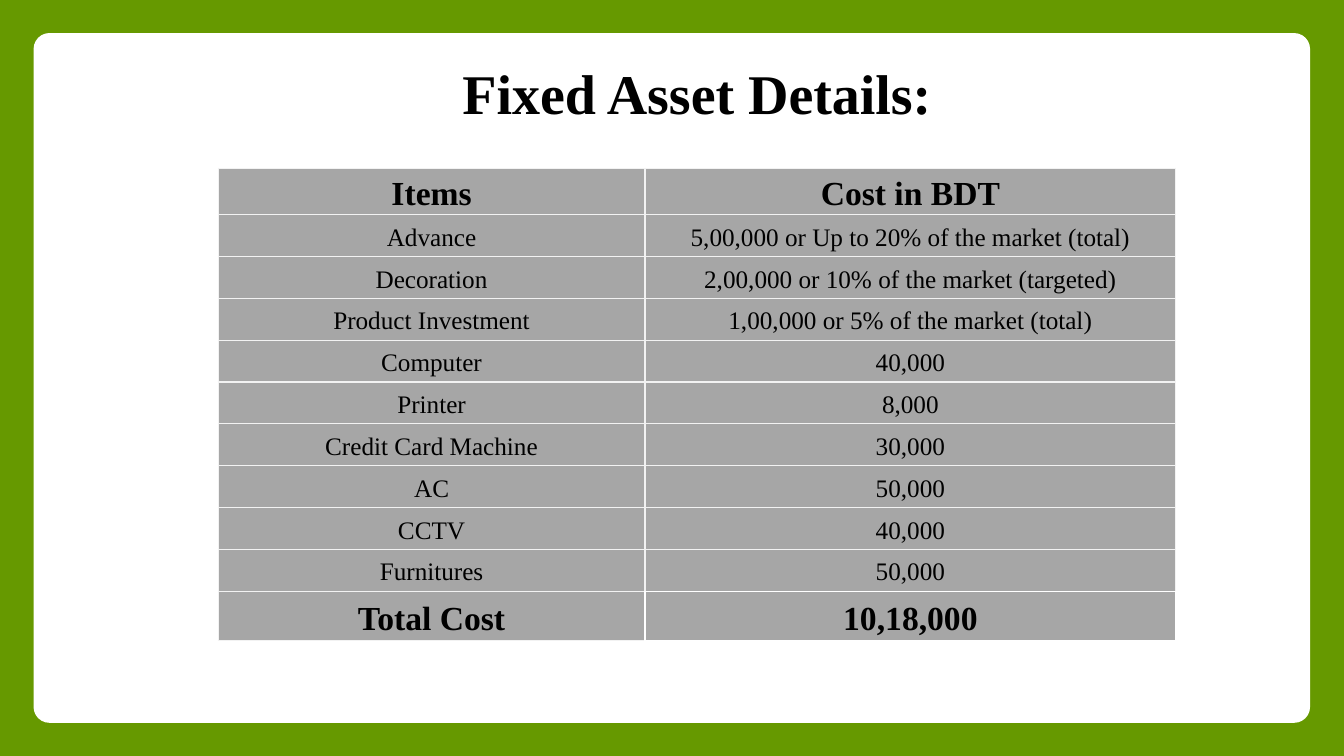
from lxml.etree import SubElement
from pptx import Presentation
from pptx.dml.color import RGBColor
from pptx.enum.shapes import MSO_SHAPE
from pptx.enum.text import MSO_ANCHOR, MSO_AUTO_SIZE, PP_ALIGN
from pptx.oxml.ns import qn
from pptx.util import Pt

GREEN = RGBColor(0x66, 0x99, 0x00)
WHITE = RGBColor(0xFF, 0xFF, 0xFF)
BLACK = RGBColor(0x00, 0x00, 0x00)
GREY = RGBColor(0xA6, 0xA6, 0xA6)
PALE = RGBColor(0xF2, 0xF2, 0xF2)
FONT = "Times New Roman"

ASSETS = [
    ("Items", "Cost in BDT"),
    ("Advance", "5,00,000 or Up to 20% of the market (total)"),
    ("Decoration", "2,00,000 or 10% of the market (targeted)"),
    ("Product Investment", "1,00,000 or 5% of the market (total)"),
    ("Computer", "40,000"),
    ("Printer", "8,000"),
    ("Credit Card Machine", "30,000"),
    ("AC", "50,000"),
    ("CCTV", "40,000"),
    ("Furnitures", "50,000"),
    ("Total Cost", "10,18,000"),
]


def add_text(frame, text, size, bold):
    """Write one centred run into the frame and return its paragraph."""
    paragraph = frame.paragraphs[0]
    paragraph.alignment = PP_ALIGN.CENTER
    run = paragraph.add_run()
    run.text = text
    run.font.name = FONT
    run.font.size = Pt(size)
    run.font.bold = bold
    run.font.color.rgb = BLACK
    return paragraph


def add_panel(slide, left, top, width, height):
    """Lay the rounded white panel behind everything else."""
    panel = slide.shapes.add_shape(
        MSO_SHAPE.ROUNDED_RECTANGLE, Pt(left), Pt(top), Pt(width), Pt(height))
    panel.adjustments[0] = 0.023
    panel.shadow.inherit = False
    panel.fill.solid()
    panel.fill.fore_color.rgb = WHITE
    panel.line.fill.background()
    slide.shapes.title._element.addprevious(panel._element)


def place_title(slide, left, top, width, height):
    """Move the title placeholder into its box and fill it in."""
    title = slide.shapes.title
    title.left, title.top = Pt(left), Pt(top)
    title.width, title.height = Pt(width), Pt(height)
    frame = title.text_frame
    frame.word_wrap = False
    frame.auto_size = MSO_AUTO_SIZE.SHAPE_TO_FIT_TEXT
    add_text(frame, "Fixed Asset Details:", 40, True)


def set_borders(cell, colour):
    """Draw a one-point line on all four sides of the cell."""
    properties = cell._tc.get_or_add_tcPr()
    for side in ("a:lnL", "a:lnR", "a:lnT", "a:lnB"):
        line = SubElement(properties, qn(side), w=str(Pt(1)))
        fill = SubElement(line, qn("a:solidFill"))
        SubElement(fill, qn("a:srgbClr"), val=str(colour))


def fill_cell(cell, text, emphasised, border):
    """Format one table cell and write its text."""
    set_borders(cell, border)
    cell.fill.solid()
    cell.fill.fore_color.rgb = GREY
    cell.vertical_anchor = MSO_ANCHOR.MIDDLE
    cell.margin_left = cell.margin_right = Pt(5)
    cell.margin_top = cell.margin_bottom = Pt(0)
    paragraph = add_text(cell.text_frame, text, 24 if emphasised else 18, emphasised)
    paragraph.line_spacing = 1.15


def add_asset_table(slide, left, top, width, height):
    """Build the cost table with a taller row for the total."""
    last = len(ASSETS) - 1
    total_height = 35.5
    row_height = (height - total_height) / last
    item_width = 305
    table = slide.shapes.add_table(
        len(ASSETS), 2, Pt(left), Pt(top), Pt(width), Pt(height)).table
    table.columns[0].width = Pt(item_width)
    table.columns[1].width = Pt(width - item_width)
    for index, asset in enumerate(ASSETS):
        table.rows[index].height = Pt(total_height if index == last else row_height)
        for column, text in enumerate(asset):
            border = WHITE if (index, column) == (last, 1) else PALE
            fill_cell(table.cell(index, column), text, index in (0, last), border)


def build_asset_slide(presentation):
    """Add the fixed asset slide."""
    slide = presentation.slides.add_slide(presentation.slide_layouts[5])
    slide.background.fill.solid()
    slide.background.fill.fore_color.rgb = GREEN
    add_panel(slide, 24, 23.6, 911.8, 492.7)
    place_title(slide, 321.1, 38.2, 353.5, 55.4)
    add_asset_table(slide, 155.8, 120.2, 684, 334.5)


def main():
    """Create and save the presentation."""
    presentation = Presentation()
    presentation.slide_width = Pt(960)
    presentation.slide_height = Pt(540)
    build_asset_slide(presentation)
    presentation.save("out.pptx")


if __name__ == "__main__":
    main()
